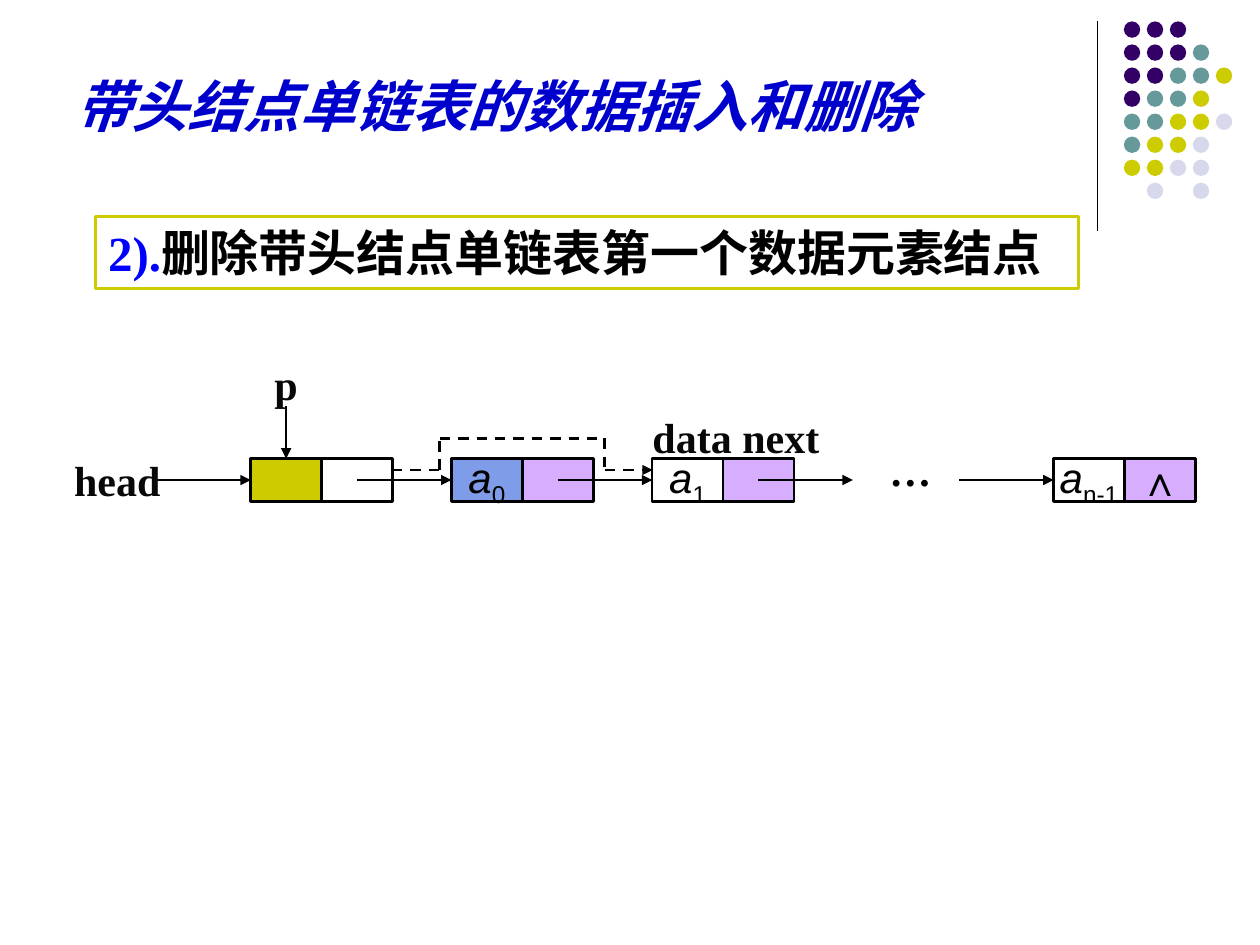
"""Build a slide on deleting the first element of a linked list with a head node."""
from pptx import Presentation
from pptx.dml.color import RGBColor
from pptx.enum import dml, shapes, text
from pptx.oxml.ns import qn
from pptx.util import Inches, Pt
from lxml import etree


def paint(target, hex_value):
    if hex_value:
        target.solid()
        target.fore_color.rgb = RGBColor.from_string(hex_value)
    else:
        target.background()


def link(start, end, dashed=False, arrow=True, width=1.5):
    joined = slide.shapes.add_connector(
        shapes.MSO_CONNECTOR.STRAIGHT, *[Inches(v) for v in (*start, *end)])
    paint(joined.line.fill, "000000")
    joined.line.width = Pt(width)
    if dashed:
        joined.line.dash_style = dml.MSO_LINE.DASH
    if arrow:
        etree.SubElement(joined.line._get_or_add_ln(), qn("a:tailEnd"), type="triangle")
    etree.SubElement(joined._element.spPr, qn("a:effectLst"))
    return joined


deck = Presentation()
deck.slide_width, deck.slide_height = Inches(10), Inches(7.5)
slide = deck.slides.add_slide(deck.slide_layouts[5])

link((8.71, 0.17), (8.71, 1.83), arrow=False, width=0.75)
dot_colors = {"P": "330066", "T": "669999", "Y": "CCCC00", "L": "D8D8EC"}
dot_rows = ["PPP", "PPPT", "PPTTY", "PTTY", "TTYYL", "TYYL", "YYLL", " L L"]
for row, letters in enumerate(dot_rows):
    for column, letter in enumerate(letters):
        if letter in dot_colors:
            dot = slide.shapes.add_shape(
                shapes.MSO_SHAPE.OVAL, Inches(8.92 + column * 0.73 / 4),
                Inches(0.17 + row * 1.28 / 7), Inches(0.13), Inches(0.13))
            dot.shadow.inherit = False
            paint(dot.fill, dot_colors[letter])
            paint(dot.line.fill, None)

title = slide.shapes.title
title.left, title.top, title.width, title.height = [
    Inches(v) for v in (0.5, 0.13, 8.21, 1.02)]
title.text_frame.vertical_anchor = text.MSO_ANCHOR.BOTTOM
heading = title.text_frame.paragraphs[0]
heading.alignment = text.PP_ALIGN.LEFT
heading_run = heading.add_run()
heading_run.text = "带头结点单链表的数据插入和删除"
for key, value in {"name": "Karla", "size": Pt(32), "bold": True, "italic": True}.items():
    setattr(heading_run.font, key, value)
paint(heading_run.font.fill, "0000CC")

step = slide.shapes.add_shape(
    shapes.MSO_SHAPE.RECTANGLE, Inches(0.76), Inches(1.72), Inches(7.8), Inches(0.57))
step.shadow.inherit = False
paint(step.fill, "FFFFFF")
paint(step.line.fill, "CCCC00")
step.line.width = Pt(2)
step.text_frame.vertical_anchor = text.MSO_ANCHOR.TOP
step_line = step.text_frame.paragraphs[0]
step_line.alignment = text.PP_ALIGN.LEFT
step_parts = [("2).", "0000FF"), ("删除带头结点单链表第一个数据元素结点", "000000")]
for wording, color in step_parts:
    part = step_line.add_run()
    part.text = wording
    for key, value in {"name": "Times New Roman", "size": Pt(28), "bold": True}.items():
        setattr(part.font, key, value)
    paint(part.font.fill, color)

node_left, node_pitch, cell_width = 1.99, 1.593, 0.563
node_top, node_height = 3.64, 0.34
middle = node_top + node_height / 2
nodes = [
    (0, "CCCC00", None, "", "", ""),
    (1, "7E9CE8", "D6ADFF", "a", "0", ""),
    (2, None, "D6ADFF", "a", "1", ""),
    (4, None, "D6ADFF", "a", "n-1", "∧"),
]
data_cells = {}
for slot, data_fill, next_fill, letter, index, mark in nodes:
    for side, (fill, symbol, subscript) in enumerate(
            [(data_fill, letter, index), (next_fill, mark, "")]):
        cell = slide.shapes.add_shape(
            shapes.MSO_SHAPE.RECTANGLE,
            Inches(node_left + slot * node_pitch + side * cell_width),
            Inches(node_top), Inches(cell_width), Inches(node_height))
        cell.shadow.inherit = False
        paint(cell.fill, fill)
        paint(cell.line.fill, "000000")
        cell.line.width = Pt(1.5)
        cell.text_frame.word_wrap = False
        cell.text_frame.vertical_anchor = text.MSO_ANCHOR.MIDDLE
        content = cell.text_frame.paragraphs[0]
        content.alignment = text.PP_ALIGN.CENTER
        for wording, lowered in ((symbol, False), (subscript, True)):
            if wording:
                part = content.add_run()
                part.text = wording
                italic = wording == "a"
                for key, value in {"name": "Arial", "size": Pt(24), "italic": italic}.items():
                    setattr(part.font, key, value)
                paint(part.font.fill, "000000")
                if lowered:
                    part._r.get_or_add_rPr().set("baseline", "-25000")
        if side == 0:
            data_cells[slot] = cell

for slot in range(5):
    tip = node_left + slot * node_pitch
    pointer = link((tip - 0.75, middle), (tip, middle))
    if slot in data_cells:
        pointer.end_connect(data_cells[slot], 1)

p_center = node_left + cell_width / 2
link((p_center, 3.22), (p_center, node_top)).end_connect(data_cells[0], 0)

bypass = [(3.11, 3.73), (3.49, 3.73), (3.49, 3.48), (4.8, 3.48), (4.8, 3.73), (5.18, 3.73)]
for start, end in zip(bypass, bypass[1:]):
    link(start, end, dashed=True, arrow=end == bypass[-1])

labels = [
    ("p", 2.08, 2.8, 0.47, "080808"),
    ("…", 6.96, 3.48, 0.84, "000000"),
    ("head", 0.49, 3.56, 1.12, "080808"),
    ("data next", 5.08, 3.22, 1.69, "080808"),
]
for wording, left, top, width, color in labels:
    label = slide.shapes.add_textbox(Inches(left), Inches(top), Inches(width), Inches(0.5))
    label.text_frame.word_wrap = True
    caption = label.text_frame.paragraphs[0]
    caption.space_before = Pt(2)
    part = caption.add_run()
    part.text = wording
    for key, value in {"name": "Times New Roman", "size": Pt(24), "bold": True}.items():
        setattr(part.font, key, value)
    paint(part.font.fill, color)

deck.save("out.pptx")
